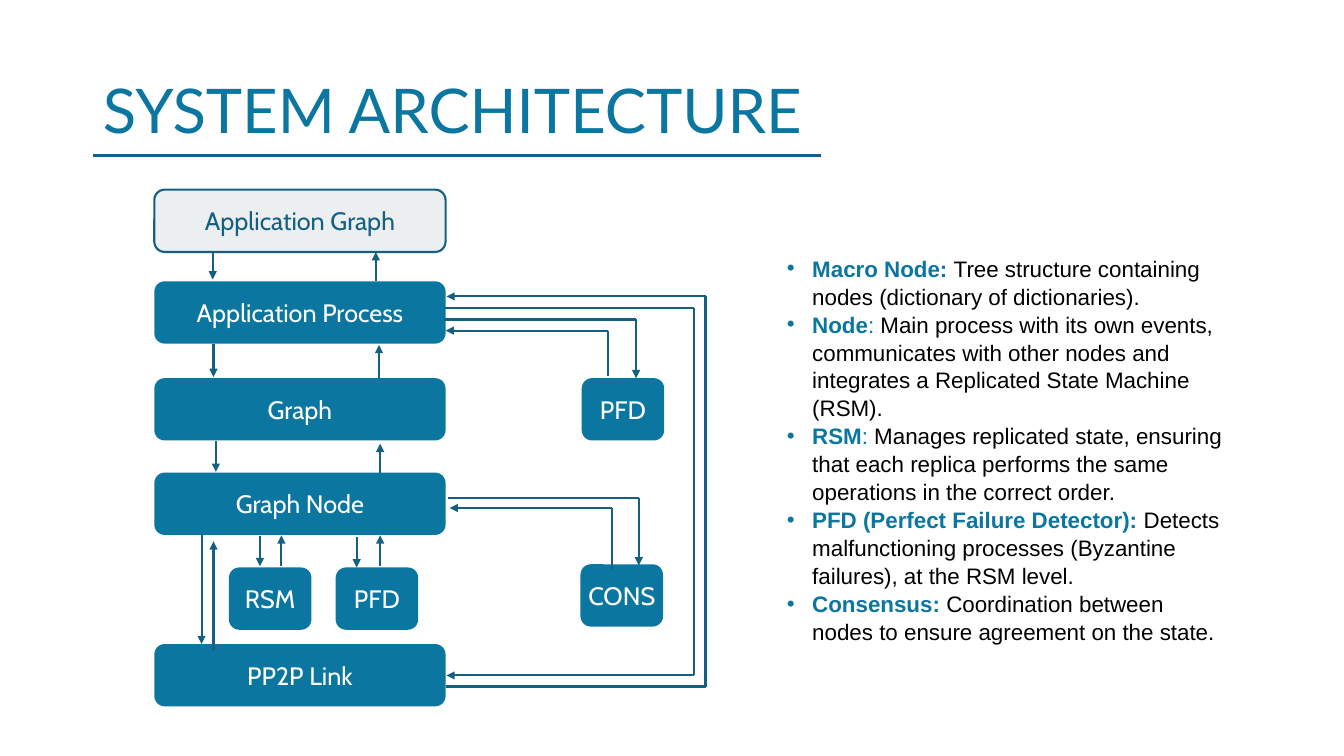
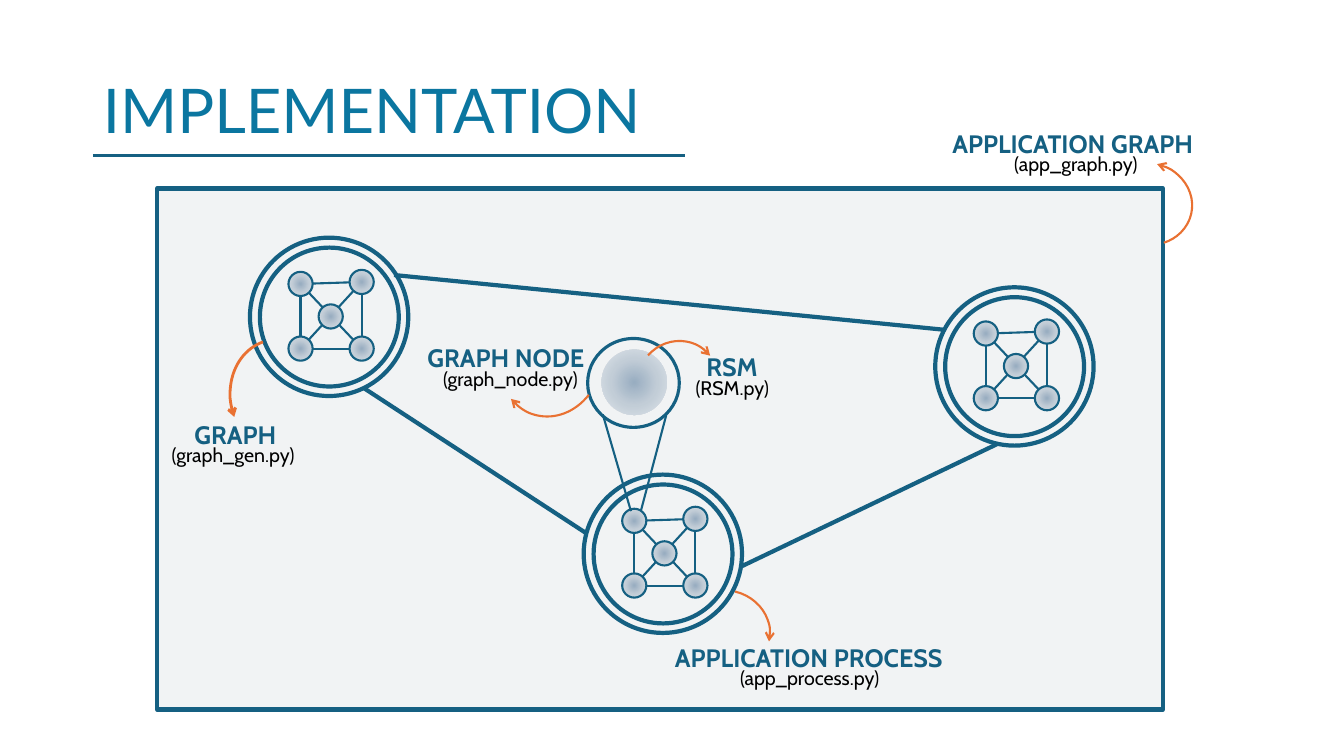
from itertools import pairwise

from pptx import Presentation
from pptx.dml.color import RGBColor
from pptx.enum.shapes import MSO_CONNECTOR, MSO_SHAPE
from pptx.enum.text import MSO_ANCHOR, MSO_AUTO_SIZE, PP_ALIGN
from pptx.oxml import parse_xml
from pptx.oxml.ns import nsdecls, qn
from pptx.util import Cm, Pt

STRAIGHT = MSO_CONNECTOR.STRAIGHT
RECTANGLE = MSO_SHAPE.RECTANGLE
ROUNDED = MSO_SHAPE.ROUNDED_RECTANGLE
ELLIPSE = MSO_SHAPE.OVAL
ARC = MSO_SHAPE.ARC
LEFT, CENTER = PP_ALIGN.LEFT, PP_ALIGN.CENTER
MIDDLE, TOP = MSO_ANCHOR.MIDDLE, MSO_ANCHOR.TOP
NO_FIT = MSO_AUTO_SIZE.NONE

BLUE, NAVY, ORANGE = "0B76A0", "156082", "E97132"
PALE, WHITE, BLACK = "ECEFF0", "FFFFFF", "000000"
GRADIENT = ((0, "98ADC1"), (50, "C2CDD7"), (100, "E1E6EB"))
TITLE_FONT, LABEL_FONT, BODY_FONT = "Lato", "Cabin", "Arial"


def color(value):
    return RGBColor.from_string(value)


def xml(tag, attributes="", content=""):
    return parse_xml(f"<a:{tag} {nsdecls('a')} {attributes}>{content}</a:{tag}>")


class Deck:
    """Holds the style and the slide being drawn."""

    def __init__(self):
        self.presentation = Presentation()
        self.presentation.slide_width = Cm(33.87)
        self.presentation.slide_height = Cm(19.05)
        self.slide = None

    def add_slide(self, title, rule_end):
        layout = self.presentation.slide_layouts[5]
        self.slide = self.presentation.slides.add_slide(layout)
        shape = self.slide.shapes.title
        shape.left, shape.top = Cm(2.34), Cm(1.02)
        shape.width, shape.height = Cm(29.21), Cm(3.68)
        frame = self.frame(shape, MIDDLE)
        paragraph = frame.paragraphs[0]
        paragraph.alignment, paragraph.line_spacing = LEFT, 0.9
        self.run(paragraph, title, 44, TITLE_FONT, BLUE)
        self.line((2.34, 3.91), (rule_end, 3.91), 2.25)

    def frame(self, shape, anchor):
        frame = shape.text_frame
        frame.word_wrap, frame.auto_size = True, NO_FIT
        frame.vertical_anchor = anchor
        return frame

    def run(self, paragraph, text, size, font, hex_color, bold=False):
        run = paragraph.add_run()
        run.text = text
        run.font.size, run.font.name, run.font.bold = Pt(size), font, bold
        run.font.color.rgb = color(hex_color)

    def stroke(self, shape, width, hex_color=NAVY, head=None, tail=None):
        shape.line.color.rgb = color(hex_color)
        shape.line.width = Pt(width)
        outline = shape.element.spPr.find(qn("a:ln"))
        for tag, kind in (("headEnd", head), ("tailEnd", tail)):
            if kind:
                outline.append(xml(tag, f'type="{kind}"'))

    def line(self, start, end, width=1.5, tail=None):
        points = [Cm(value) for value in (*start, *end)]
        connector = self.slide.shapes.add_connector(STRAIGHT, *points)
        self.stroke(connector, width, tail=tail)
        connector.element.spPr.append(xml("effectLst"))

    def route(self, *points):
        """Joined segments, with an arrowhead at the last point."""
        for start, end in pairwise(points):
            self.line(start, end, tail="triangle" if end == points[-1] else None)

    def shape(self, kind, left, top, width, height, fill=None, stroke=None):
        shape = self.slide.shapes.add_shape(
            kind, Cm(left), Cm(top), Cm(width), Cm(height))
        shape.shadow.inherit = False
        if fill:
            shape.fill.solid()
            shape.fill.fore_color.rgb = color(fill)
        else:
            shape.fill.background()
        if stroke:
            self.stroke(shape, stroke)
        else:
            shape.line.fill.background()
        return shape

    def box(self, text, left, top, width, fill=BLUE, text_color=WHITE, stroke=None):
        shape = self.shape(ROUNDED, left, top, width, 1.57, fill, stroke)
        frame = self.frame(shape, MIDDLE)
        frame.margin_left = frame.margin_right = 0
        paragraph = frame.paragraphs[0]
        paragraph.alignment = CENTER
        self.run(paragraph, text, 18, LABEL_FONT, text_color)

    def panel(self, left, top, width, height, opacity):
        shape = self.shape(RECTANGLE, left, top, width, height, PALE, 3)
        fill = shape.element.spPr.find(qn("a:solidFill"))
        fill[0].append(xml("alpha", f'val="{opacity * 1000}"'))

    def ball(self, left, top, size, stroke=None):
        """Circle with a radial gradient."""
        shape = self.shape(ELLIPSE, left, top, size, size, stroke=stroke)
        stops = "".join(
            f'<a:gs pos="{position * 1000}"><a:srgbClr val="{value}"/></a:gs>'
            for position, value in GRADIENT)
        center = 'l="50000" t="50000" r="50000" b="50000"'
        gradient = xml("gradFill", 'rotWithShape="1"',
                       f'<a:gsLst>{stops}</a:gsLst><a:path path="circle">'
                       f'<a:fillToRect {center}/></a:path>')
        properties = shape.element.spPr
        properties.replace(properties.find(qn("a:noFill")), gradient)

    def arc(self, left, top, width, height, rotation, start=162, end=0,
            stroke=1.5, head=None, tail=None):
        shape = self.shape(ARC, left, top, width, height)
        shape.adjustments[0], shape.adjustments[1] = start, end
        shape.rotation = rotation
        self.stroke(shape, stroke, ORANGE, head, tail)

    def text_box(self, left, top, width, height):
        shape = self.slide.shapes.add_textbox(
            Cm(left), Cm(top), Cm(width), Cm(height))
        return self.frame(shape, TOP)

    def label(self, name, file_name, top, name_left, file_left):
        paragraph = self.text_box(name_left, top, 7.54, 1.02).paragraphs[0]
        self.run(paragraph, name, 18, LABEL_FONT, NAVY, True)
        paragraph = self.text_box(file_left, top + 0.6, 6.93, 0.86).paragraphs[0]
        paragraph.alignment = CENTER
        self.run(paragraph, file_name, 14, LABEL_FONT, BLACK)

    def definitions(self, left, top, width, height, items):
        frame = self.text_box(left, top, width, height)
        for index, (term, separator, meaning) in enumerate(items):
            paragraph = frame.add_paragraph() if index else frame.paragraphs[0]
            paragraph.line_spacing = 1.04
            self.run(paragraph, term, 16, BODY_FONT, BLUE, True)
            if separator:
                self.run(paragraph, separator, 16, BODY_FONT, BLUE)
            self.run(paragraph, meaning, 16, BODY_FONT, BLACK)
            properties = paragraph._p.get_or_add_pPr()
            properties.set("marL", str(Cm(0.64)))
            properties.set("indent", str(-Cm(0.64)))
            properties.append(xml("buClr", "", f'<a:srgbClr val="{BLUE}"/>'))
            properties.append(xml("buFont", f'typeface="{BODY_FONT}"'))
            properties.append(xml("buChar", 'char="•"'))

    def cluster(self, left, top):
        """Double ring around five linked nodes."""
        size = 0.61
        corners = [(0.97, 0.86), (2.51, 0.81), (2.51, 2.49), (0.97, 2.49)]
        nodes = [(left + x, top + y) for x, y in corners + [(1.73, 1.68)]]
        centers = [(x + size / 2, y + size / 2) for x, y in nodes]
        for first, second in ((0, 1), (1, 2), (2, 3), (3, 0), (0, 2), (1, 3)):
            self.line(centers[first], centers[second])
        for inset, diameter in ((0, 3.99), (0.25, 3.5)):
            self.shape(ELLIPSE, left + inset, top + inset, diameter, diameter,
                       stroke=3)
        for x, y in nodes:
            self.ball(x, y, size, 1.5)


def architecture(deck):
    deck.add_slide("SYSTEM ARCHITECTURE", 20.68)

    # Layers and components
    deck.box("Application Graph", 3.89, 4.78, 7.34, PALE, NAVY, 1.5)
    for text, top in (("Application Process", 7.09), ("Graph", 9.53),
                      ("Graph Node", 11.91), ("PP2P Link", 16.23)):
        deck.box(text, 3.89, top, 7.34)
    for text, left, top in (("RSM", 5.77, 14.3), ("PFD", 8.46, 14.3),
                            ("CONS", 14.63, 14.22), ("PFD", 14.66, 9.53)):
        deck.box(text, left, top, 2.08)

    # Vertical arrows: x, start, end
    for x, start, end in (
            (5.36, 6.35, 7.04), (5.38, 8.66, 9.5), (5.44, 11.1, 11.89),
            (9.47, 7.09, 6.35), (9.55, 9.53, 8.69), (9.58, 11.91, 11.18),
            (5.08, 13.46, 16.23), (5.38, 16.41, 13.64),
            (6.55, 13.51, 14.27), (7.09, 14.25, 13.49),
            (8.99, 13.54, 14.3), (9.58, 14.25, 13.49)):
        deck.route((x, start), (x, end))

    # Bent arrows on the right
    deck.route((11.2, 7.75), (17.5, 7.75), (17.5, 17.02), (11.25, 17.02))
    deck.route((11.23, 17.3), (17.78, 17.3), (17.78, 7.47), (11.25, 7.47))
    deck.route((11.2, 8.05), (16.03, 8.05), (16.03, 9.53))
    deck.route((15.32, 9.47), (15.32, 8.33), (11.23, 8.33))
    deck.route((11.28, 12.55), (16.1, 12.55), (16.1, 14.25))
    deck.route((15.42, 14.33), (15.42, 12.8), (11.33, 12.8))

    # Terms
    deck.definitions(19.58, 6.27, 11.58, 9.73, (
        ("Macro Node: ", "",
         "Tree structure containing nodes (dictionary of dictionaries)."),
        ("Node", ":",
         " Main process with its own events, communicates with other nodes "
         "and integrates a Replicated State Machine (RSM)."),
        ("RSM", ":",
         " Manages replicated state, ensuring that each replica performs "
         "the same operations in the correct order."),
        ("PFD (Perfect Failure Detector): ", "",
         "Detects malfunctioning processes (Byzantine failures), "
         "at the RSM level."),
        ("Consensus: ", "",
         "Coordination between nodes to ensure agreement on the state.")))


def implementation(deck):
    deck.add_slide("IMPLEMENTATION", 17.27)
    deck.panel(3.96, 4.75, 25.35, 13.13, 70)

    # Clusters and the links between them
    for left, top in ((6.3, 5.99), (14.71, 11.96), (23.57, 7.24)):
        deck.cluster(left, top)
    deck.line((9.93, 6.93), (23.8, 8.31), 3)
    deck.line((9.17, 9.78), (14.78, 13.44), 3)
    deck.line((18.69, 14.27), (25.15, 11.18), 3)

    # Enlarged node
    deck.line((15.9, 12.88), (15.19, 10.44))
    deck.line((16.15, 12.88), (16.79, 10.46))
    deck.shape(ELLIPSE, 14.81, 8.53, 2.31, 2.24, stroke=2.25)
    deck.ball(15.16, 8.81, 1.65)

    # Labels
    for label in (
            ("APPLICATION GRAPH", "(app_graph.py)", 3.1, 23.75, 23.65),
            ("APPLICATION PROCESS", "(app_process.py)", 16.05, 16.76, 16.94),
            ("GRAPH", "(graph_gen.py)", 10.44, 4.65, 2.41),
            ("GRAPH NODE", "(graph_node.py)", 8.51, 10.52, 9.4),
            ("RSM", "(RSM.py)", 8.74, 17.55, 14.99)):
        deck.label(*label)

    # Curved arrows to the labels
    deck.arc(5.61, 8.74, 3.07, 2.64, 250.3, stroke=2, head="arrow")
    deck.arc(17.17, 14.88, 2.24, 2.06, 13, end=0.1, tail="arrow")
    deck.arc(16.05, 8.61, 2.08, 2.01, 311.1, end=5.93, tail="arrow")
    deck.arc(12.34, 7.65, 3.07, 2.64, 102.7, 181.71, 18.02, tail="arrow")
    deck.arc(27.81, 4.11, 2.24, 2.06, 13, end=32.81, head="arrow")


def main():
    deck = Deck()
    architecture(deck)
    implementation(deck)
    deck.presentation.save("out.pptx")


if __name__ == "__main__":
    main()
